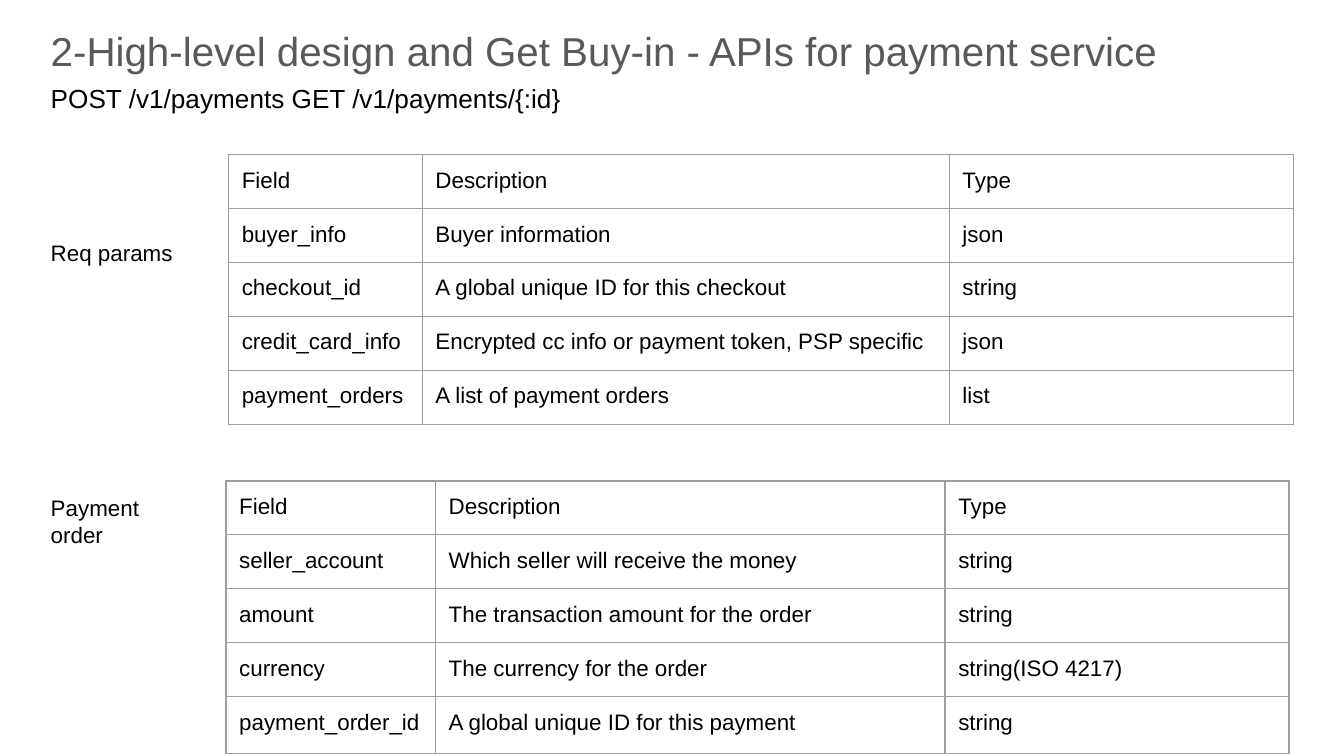
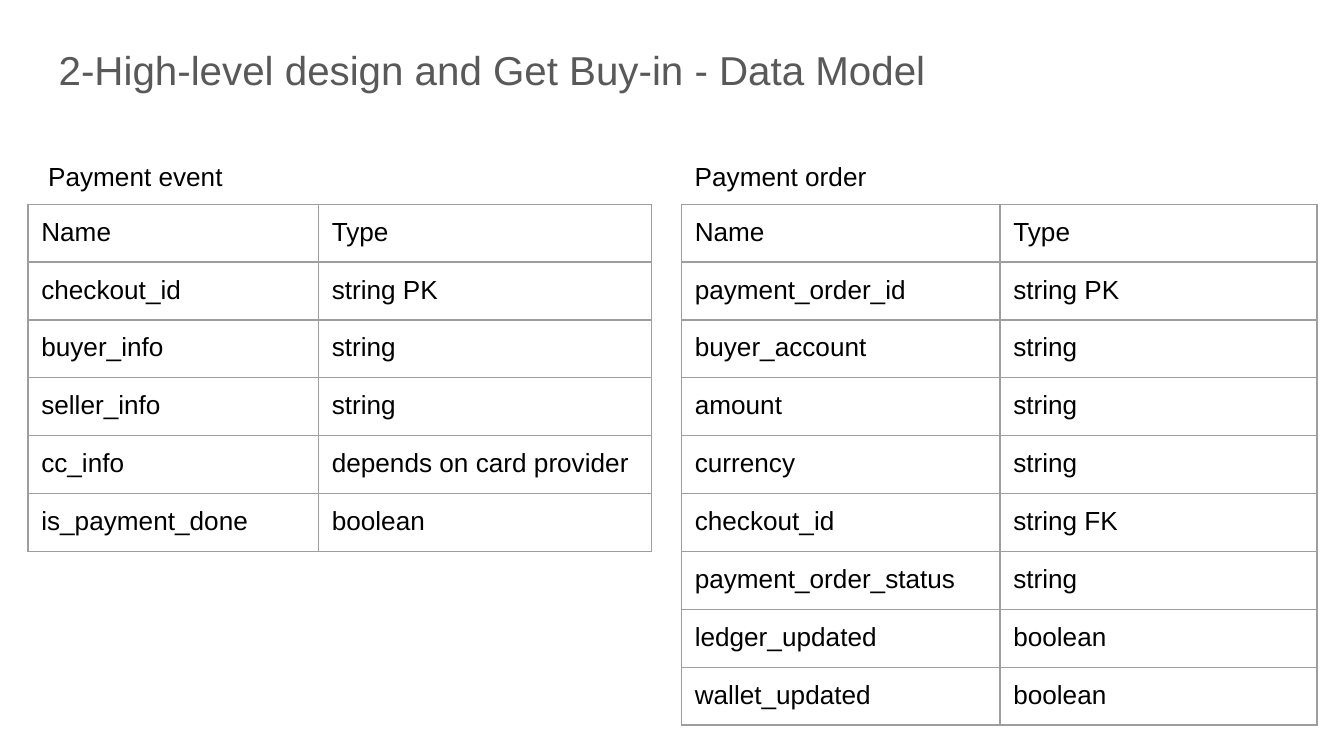
from lxml import etree
from pptx import Presentation
from pptx import util as u
from pptx.dml import color
from pptx.enum import text
from pptx.oxml import ns

FONT = "Arial"
BLACK = "000000"
TITLE_GREY = "595959"
BORDER_GREY = "9E9E9E"
INSET = u.Cm(0.25)


def rgb(hex_value):
    return color.RGBColor.from_string(hex_value)


def write(frame, content, size=12, ink=BLACK, line_spacing=None, space_after=None):
    frame.word_wrap = True
    paragraph = frame.paragraphs[0]
    paragraph.line_spacing = line_spacing
    if space_after is not None:
        paragraph.space_after = u.Pt(space_after)
    run = paragraph.add_run()
    run.text = content
    run.font.name = FONT
    run.font.size = u.Pt(size)
    run.font.color.rgb = rgb(ink)


def set_insets(holder):
    """Apply the shared inset to a text frame or a table cell."""
    holder.margin_left = holder.margin_right = INSET
    holder.margin_top = holder.margin_bottom = INSET


def outline(cell):
    properties = cell._tc.get_or_add_tcPr()
    for side in ("a:lnL", "a:lnR", "a:lnT", "a:lnB"):
        line = etree.SubElement(properties, ns.qn(side), w=str(u.Pt(0.75)))
        fill = etree.SubElement(line, ns.qn("a:solidFill"))
        etree.SubElement(fill, ns.qn("a:srgbClr"), val=BORDER_GREY)


class Deck:
    """Holds the presentation, its shared style and the slide being filled."""

    def __init__(self):
        self.presentation = Presentation()
        self.presentation.slide_width = u.Cm(25.4)
        self.presentation.slide_height = u.Cm(14.29)
        self.slide = None

    def new_slide(self):
        blank = self.presentation.slide_layouts[6]
        self.slide = self.presentation.slides.add_slide(blank)
        background = self.slide.background.fill
        background.solid()
        background.fore_color.rgb = rgb("FFFFFF")

    def label(self, content, left, top, width, height, **style):
        box = self.slide.shapes.add_textbox(*map(u.Cm, (left, top, width, height)))
        set_insets(box.text_frame)
        box.text_frame.vertical_anchor = text.MSO_ANCHOR.TOP
        write(box.text_frame, content, **style)

    def title(self, content, left, top):
        self.label(content, left, top, 23.67, 1.6, size=21.6, ink=TITLE_GREY,
                   line_spacing=1.15, space_after=12)

    def table(self, records, left, top, widths, row_height, last_height=None, size=12):
        heights = [row_height] * (len(records) - 1) + [last_height or row_height]
        grid = self.slide.shapes.add_table(
            len(records), len(widths), u.Cm(left), u.Cm(top),
            u.Cm(sum(widths)), u.Cm(sum(heights))).table
        grid.first_row = grid.horz_banding = False
        for column, width in zip(grid.columns, widths):
            column.width = u.Cm(width)
        for row, height, record in zip(grid.rows, heights, records):
            row.height = u.Cm(height)
            for cell, content in zip(row.cells, record):
                set_insets(cell)
                outline(cell)
                cell.fill.background()
                write(cell.text_frame, content, size=size)


API_HEADER = ("Field", "Description", "Type")
REQUEST_PARAMS = [
    API_HEADER,
    ("buyer_info", "Buyer information", "json"),
    ("checkout_id", "A global unique ID for this checkout", "string"),
    ("credit_card_info", "Encrypted cc info or payment token, PSP specific", "json"),
    ("payment_orders", "A list of payment orders", "list"),
]
ORDER_PARAMS = [
    API_HEADER,
    ("seller_account", "Which seller will receive the money", "string"),
    ("amount", "The transaction amount for the order", "string"),
    ("currency", "The currency for the order", "string(ISO 4217)"),
    ("payment_order_id", "A global unique ID for this payment", "string"),
]
MODEL_HEADER = ("Name", "Type")
EVENT_MODEL = [
    MODEL_HEADER,
    ("checkout_id", "string PK"),
    ("buyer_info", "string"),
    ("seller_info", "string"),
    ("cc_info", "depends on card provider"),
    ("is_payment_done", "boolean"),
]
ORDER_MODEL = [
    MODEL_HEADER,
    ("payment_order_id", "string PK"),
    ("buyer_account", "string"),
    ("amount", "string"),
    ("currency", "string"),
    ("checkout_id", "string FK"),
    ("payment_order_status", "string"),
    ("ledger_updated", "boolean"),
    ("wallet_updated", "boolean"),
]


def build_api_slide(deck):
    margin, order_top = 0.71, 9.09
    deck.new_slide()
    deck.title("2-High-level design and Get Buy-in - APIs for payment service", margin, 0.1)
    deck.label("POST /v1/payments GET /v1/payments/{:id}", margin, 1.3, 14.02, 1.12, size=14)
    deck.table(REQUEST_PARAMS, 4.32, 2.92, (3.66, 9.96, 6.5), 1.02)
    deck.table(ORDER_PARAMS, 4.27, order_top, (3.96, 9.63, 6.5), 1.02, last_height=1.07)
    deck.label("Req params", margin, 4.27, 2.95, 1.02)
    deck.label("Payment order", margin, order_top, 2.95, 1.55)


def build_model_slide(deck):
    deck.new_slide()
    deck.title("2-High-level design and Get Buy-in - Data Model", 0.86, 0.46)
    models = (
        ("Payment event", 0.66, EVENT_MODEL, 0.53, (5.49, 6.3)),
        ("Payment order", 12.88, ORDER_MODEL, 12.88, (6.02, 5.99)),
    )
    for name, name_left, records, left, widths in models:
        deck.table(records, left, 3.86, widths, 1.06, size=14)
        deck.label(name, name_left, 2.79, 6.38, 1.12, size=14)


def main():
    deck = Deck()
    build_api_slide(deck)
    build_model_slide(deck)
    deck.presentation.save("out.pptx")


if __name__ == "__main__":
    main()
